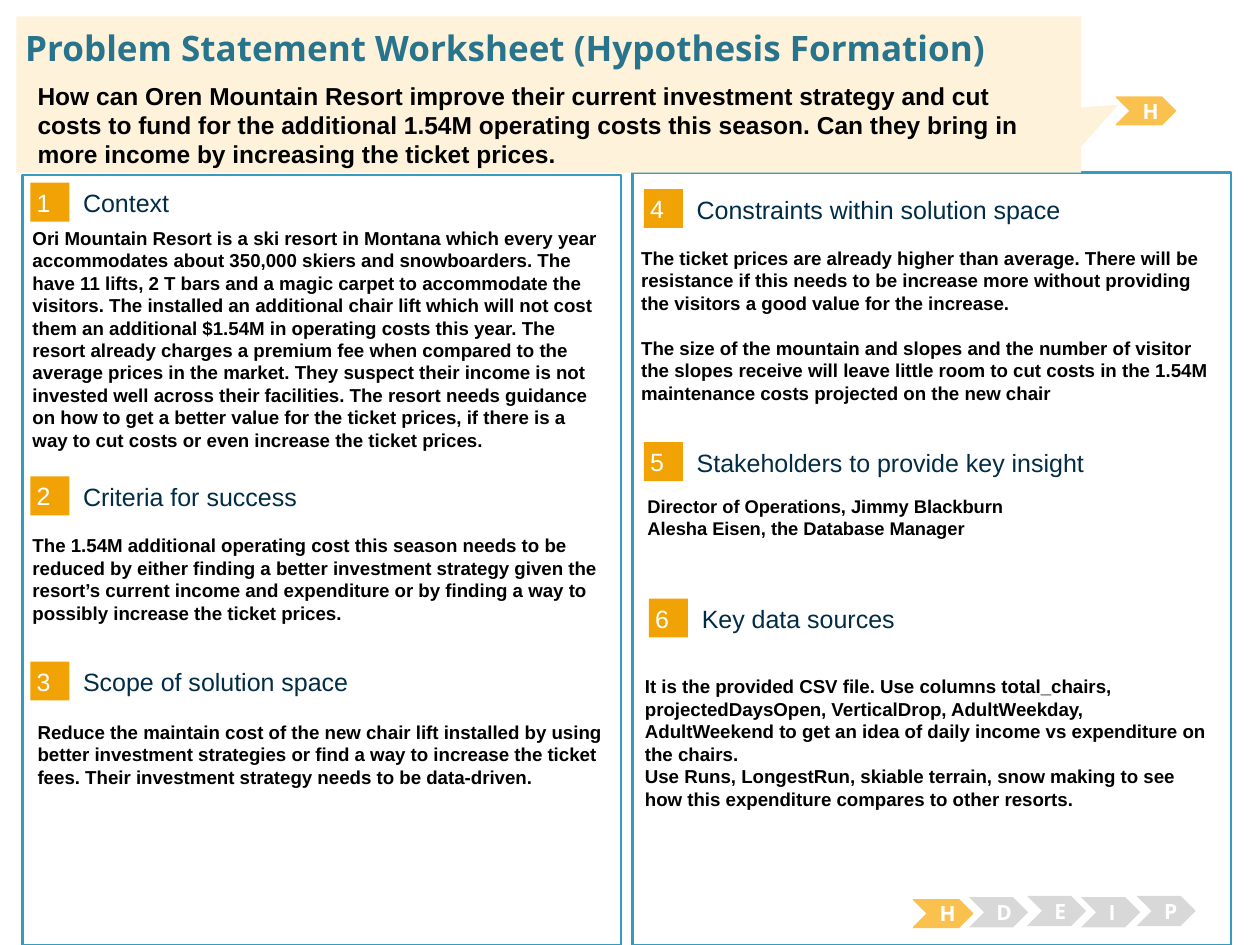
from dataclasses import dataclass

from pptx import Presentation
from pptx.dml.color import RGBColor
from pptx.enum.shapes import MSO_SHAPE
from pptx.enum.text import MSO_ANCHOR, PP_ALIGN
from pptx.util import Inches, Pt


@dataclass(frozen=True)
class Theme:
    sans: str = "Arial"
    brand: str = "Open Sans"
    white: str = "FFFFFF"
    black: str = "000000"
    navy: str = "002C46"
    teal: str = "29748D"
    edge: str = "379BBD"
    orange: str = "F1A205"
    gold: str = "FBC14E"
    gray: str = "D8D8D8"
    cream: str = "FEF2DA"
    title: float = 20
    head: float = 14.3
    lead: float = 14
    step: float = 12
    body: float = 10.7
    small: float = 10.5


class Sheet:
    def __init__(self, slide, theme):
        self.slide = slide
        self.theme = theme

    def shape(self, kind, box, fill, line=None, width=0.75):
        item = self.slide.shapes.add_shape(kind, *map(Inches, box))
        item.shadow.inherit = False
        item.fill.solid()
        item.fill.fore_color.rgb = RGBColor.from_string(fill)
        if line:
            item.line.color.rgb = RGBColor.from_string(line)
            item.line.width = Pt(width)
        else:
            item.line.fill.background()
        return item

    def text(self, item, lines, size, color, font, bold=False,
             align=PP_ALIGN.LEFT, gap=0):
        frame = item.text_frame
        frame.word_wrap = True
        for i, line in enumerate(lines):
            para = frame.add_paragraph() if i else frame.paragraphs[0]
            para.alignment = align
            if i:
                para.space_before = Pt(gap)
            run = para.add_run()
            run.text = line
            run.font.size = Pt(size)
            run.font.name = font
            run.font.bold = bold
            run.font.color.rgb = RGBColor.from_string(color)

    def inset(self, item, pad):
        """Set equal text margins and centre the text vertically."""
        frame = item.text_frame
        frame.vertical_anchor = MSO_ANCHOR.MIDDLE
        frame.margin_left = frame.margin_right = Inches(pad)
        frame.margin_top = frame.margin_bottom = Inches(pad)

    def label(self, box, text, size, color, font, bold=False):
        item = self.slide.shapes.add_textbox(*map(Inches, box))
        self.inset(item, 0)
        self.text(item, [text], size, color, font, bold)

    def body(self, box, lines, size=None, gap=0):
        item = self.slide.shapes.add_textbox(*map(Inches, box))
        t = self.theme
        self.text(item, lines, size or t.body, t.black, t.sans, True, gap=gap)

    def panel(self, box):
        t = self.theme
        self.shape(MSO_SHAPE.RECTANGLE, box, t.white, t.edge, 1.5)

    def head(self, num, left, top, text):
        """Draw a numbered square with its section heading."""
        t = self.theme
        tile = self.shape(MSO_SHAPE.RECTANGLE, (left, top, 0.31, 0.31), t.orange)
        self.inset(tile, 0.05)
        self.text(tile, [str(num)], t.head, t.white, t.sans)
        self.label((left + 0.42, top + 0.04, 3.93, 0.24), text,
                   t.head, t.navy, t.sans)

    def step(self, left, top, text, live=False):
        t = self.theme
        high = 0.22 if live else 0.24
        item = self.shape(MSO_SHAPE.CHEVRON, (left, top, 0.47, high),
                          t.gold if live else t.gray, t.gold if live else None)
        item.text_frame.vertical_anchor = MSO_ANCHOR.MIDDLE
        self.text(item, [text], t.step, t.white, t.brand, True, PP_ALIGN.CENTER)

    def banner(self, box, tip):
        item = self.shape(MSO_SHAPE.RECTANGULAR_CALLOUT, box, self.theme.cream)
        item.adjustments[0], item.adjustments[1] = tip


HEADS = [
    (0.24, 1.45, "Context"),
    (0.24, 3.78, "Criteria for success"),
    (0.24, 5.25, "Scope of solution space"),
    (5.11, 1.5, "Constraints within solution space"),
    (5.11, 3.51, "Stakeholders to provide key insight"),
    (5.15, 4.75, "Key data sources"),
]

BODIES = [
    (0.16, 1.75, 1.36, [
        "Ori Mountain Resort is a ski resort in Montana which every year "
        "accommodates about 350,000 skiers and snowboarders. The have 11 lifts, "
        "2 T bars and a magic carpet to accommodate the visitors. The installed "
        "an additional chair lift which will not cost them an additional $1.54M "
        "in operating costs this year. The resort already charges a premium fee "
        "when compared to the average prices in the market. They suspect their "
        "income is not invested well across their facilities. The resort needs "
        "guidance on how to get a better value for the ticket prices, if there "
        "is a way to cut costs or even increase the ticket prices."]),
    (0.16, 4.19, 1.54, [
        "The 1.54M additional operating cost this season needs to be reduced by "
        "either finding a better investment strategy given the resort’s current "
        "income and expenditure or by finding a way to possibly increase the "
        "ticket prices."]),
    (0.2, 5.67, 0.82, [
        "Reduce the maintain cost of the new chair lift installed by using "
        "better investment strategies or find a way to increase the ticket "
        "fees. Their investment strategy needs to be data-driven."]),
    (5.02, 5.31, 1.18, [
        "It is the provided CSV file. Use columns total_chairs, "
        "projectedDaysOpen, VerticalDrop, AdultWeekday, AdultWeekend to get an "
        "idea of daily income vs expenditure on the chairs.",
        "Use Runs, LongestRun, skiable terrain, snow making to see how this "
        "expenditure compares to other resorts."]),
]

LIMITS = [
    "The ticket prices are already higher than average. There will be "
    "resistance if this needs to be increase more without providing the "
    "visitors a good value for the increase.",
    "The size of the mountain and slopes and the number of visitor the slopes "
    "receive will leave little room to cut costs in the 1.54M maintenance "
    "costs projected on the new chair",
]

PEOPLE = ["Director of Operations, Jimmy Blackburn",
          "Alesha Eisen, the Database Manager"]

LEAD = ("How can Oren Mountain Resort improve their current investment strategy "
        "and cut costs to fund for the additional 1.54M operating costs this "
        "season. Can they bring in more income by increasing the ticket prices.")

STEPS = [(7.25, 7.14, "H"), (7.69, 7.12, "D"), (8.15, 7.11, "E"),
         (8.58, 7.12, "I"), (9.02, 7.11, "P")]


def main():
    deck = Presentation()
    deck.slide_width, deck.slide_height = Inches(10), Inches(7.5)
    theme = Theme()
    sheet = Sheet(deck.slides.add_slide(deck.slide_layouts[6]), theme)

    sheet.panel((0.18, 1.39, 4.75, 6.11))
    sheet.panel((5.02, 1.37, 4.75, 6.13))
    for num, (left, top, text) in enumerate(HEADS, 1):
        sheet.head(num, left, top, text)
    for left, top, high, lines in BODIES:
        sheet.body((left, top, 4.73, high), lines)
    sheet.body((4.99, 1.91, 4.73, 1.18), LIMITS, gap=12.8)
    sheet.body((5.04, 3.88, 4.73, 1.18), PEOPLE, theme.small)

    for left, top, text in STEPS:
        sheet.step(left, top, text, text == "H")
    sheet.step(8.86, 0.77, "H", True)

    sheet.banner((0.13, 0.13, 8.45, 1.24), (0.535, 0.066))
    sheet.label((0.2, 0.21, 9.62, 0.34),
                "Problem Statement Worksheet (Hypothesis Formation)",
                theme.title, theme.teal, theme.brand, True)
    sheet.body((0.2, 0.59, 8.3, 0.54), [LEAD], theme.lead)
    deck.save("out.pptx")


if __name__ == "__main__":
    main()
